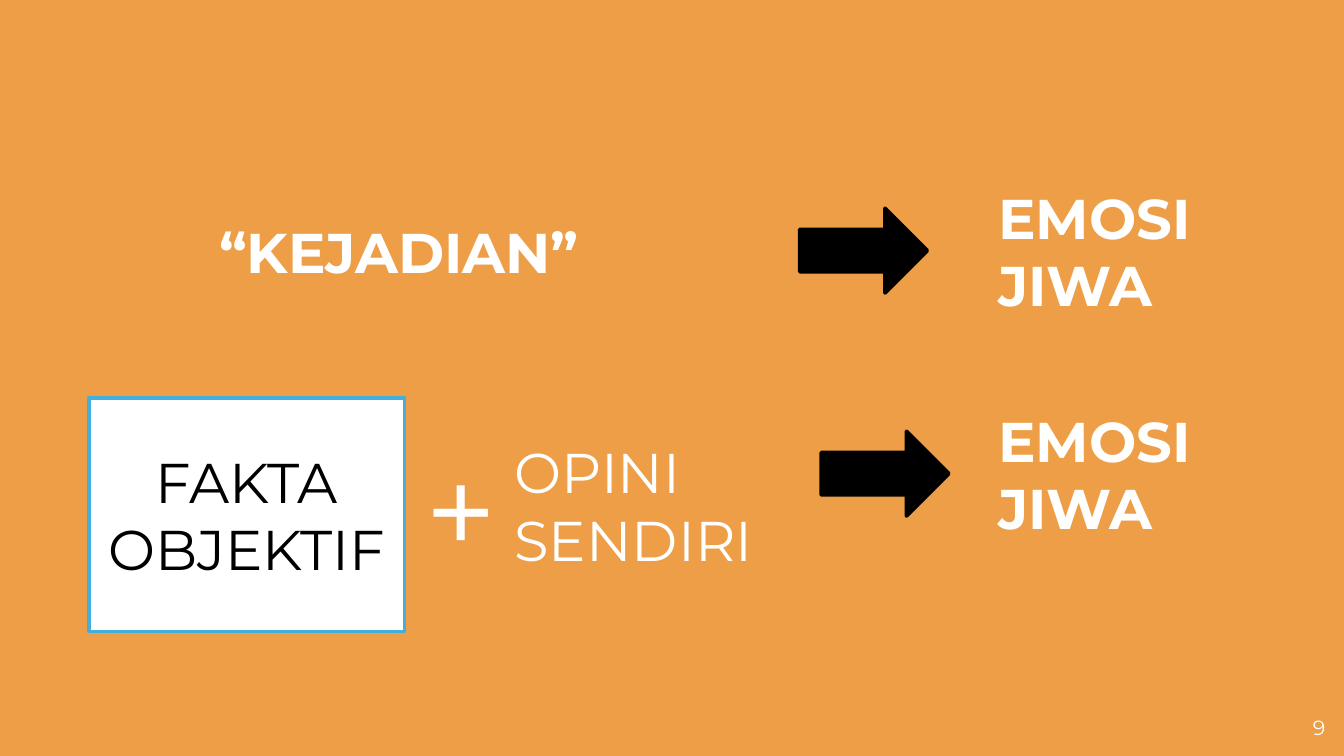
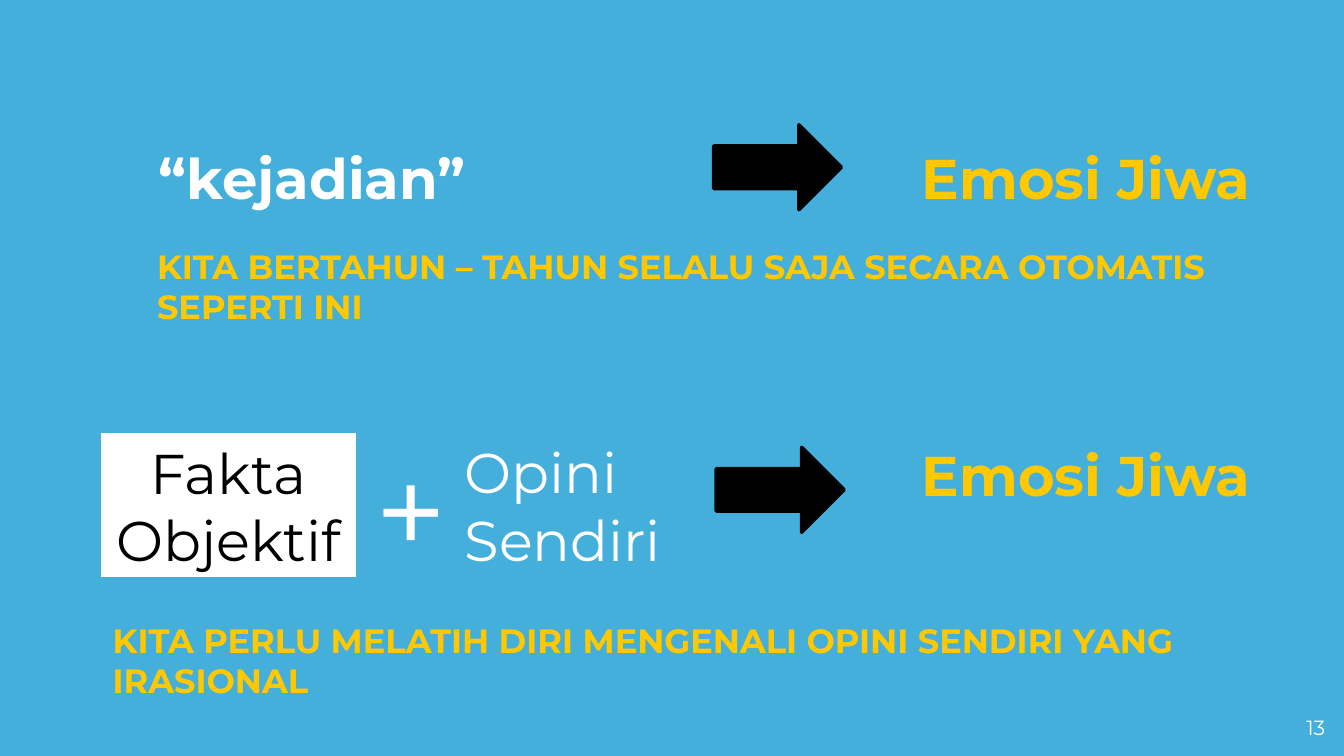
from dataclasses import dataclass

from lxml.etree import SubElement
from pptx import Presentation
from pptx.dml.color import RGBColor
from pptx.enum.shapes import MSO_SHAPE
from pptx.enum.text import MSO_ANCHOR, MSO_AUTO_SIZE, PP_ALIGN
from pptx.oxml.ns import qn
from pptx.util import Inches, Pt

SLIDE_WIDTH = 10
SLIDE_HEIGHT = SLIDE_WIDTH * 9 / 16
ORANGE, BLUE, YELLOW = "ED9E46", "45AFDC", "FFC800"
WHITE, BLACK = "FFFFFF", "000000"
FONT = "Montserrat"
LABEL_SIZE, LABEL_HEIGHT = 30, 0.63
OPINION_TOP, OPINION_HEIGHT = 3.21, 1.11
PLUS_OFFSET = 0.64  # from the plus sign to the opinion


@dataclass
class Box:
    left: float
    top: float
    width: float
    height: float = LABEL_HEIGHT

    def inches(self):
        return [Inches(v) for v in (self.left, self.top, self.width, self.height)]


def rgb(color):
    return RGBColor.from_string(color)


def write(shape, text, size=LABEL_SIZE, color=WHITE, bold=False, font=FONT,
          align=PP_ALIGN.LEFT, anchor=MSO_ANCHOR.MIDDLE, inset=0.1):
    frame = shape.text_frame
    frame.text = text
    frame.word_wrap = True
    frame.auto_size = MSO_AUTO_SIZE.NONE
    frame.vertical_anchor = anchor
    frame.margin_left = frame.margin_right = Inches(0.1)
    frame.margin_top = frame.margin_bottom = Inches(inset)
    paragraph = frame.paragraphs[0]
    paragraph.alignment = align
    style = paragraph.runs[0].font
    style.name, style.size, style.bold = font, Pt(size), bold
    style.color.rgb = rgb(color)


def add_text(slide, box, text, **style):
    write(slide.shapes.add_textbox(*box.inches()), text, **style)


def add_block(slide, preset, box, fill, line):
    block = slide.shapes.add_shape(preset, *box.inches())
    block.shadow.inherit = False
    block.fill.solid()
    block.fill.fore_color.rgb = rgb(fill)
    block.line.color.rgb = rgb(line)
    block.line.width = Pt(2)
    return block


def add_arrow(slide, left, top):
    arrow = add_block(slide, MSO_SHAPE.RIGHT_ARROW, Box(left, top, 0.95),
                      BLACK, BLACK)
    # Rounded corners on the outline
    SubElement(arrow.element.spPr.find(qn("a:ln")), qn("a:round"))


def add_note(slide, left, top, text):
    add_text(slide, Box(left, top, 8.49, 0.71), text, size=18, color=YELLOW,
             bold=True, anchor=MSO_ANCHOR.TOP, inset=0.05)


def start_slide(prs, background, number):
    slide = prs.slides.add_slide(prs.slide_layouts[5])
    slide.background.fill.solid()
    slide.background.fill.fore_color.rgb = rgb(background)
    add_text(slide, Box(9.36, 5.22, 0.6, 0.32), number, size=11,
             align=PP_ALIGN.RIGHT, anchor=MSO_ANCHOR.TOP)
    return slide


def event_row(slide, event_box, event, arrow_at, emotion_box, emotion, color):
    """Event, arrow, emotion; the event is the slide title."""
    title = slide.shapes.title
    title.left, title.top, title.width, title.height = event_box.inches()
    write(title, event, bold=True)
    add_arrow(slide, *arrow_at)
    add_text(slide, emotion_box, emotion, color=color, bold=True)


def thought_row(slide, fact_box, fact, opinion_left, opinion_width, opinion,
                arrow_at, emotion_box, emotion, color):
    """Objective fact plus own opinion, arrow, emotion."""
    fact_block = add_block(slide, MSO_SHAPE.RECTANGLE, fact_box, WHITE, BLUE)
    write(fact_block, fact, color=BLACK, align=PP_ALIGN.CENTER)
    top_text = dict(anchor=MSO_ANCHOR.TOP, inset=0.05)
    plus_box = Box(opinion_left - PLUS_OFFSET, OPINION_TOP, 0.23, OPINION_HEIGHT)
    add_text(slide, plus_box, "+", size=60, font="Arial", **top_text)
    opinion_box = Box(opinion_left, OPINION_TOP, opinion_width, OPINION_HEIGHT)
    add_text(slide, opinion_box, opinion, **top_text)
    add_arrow(slide, *arrow_at)
    add_text(slide, emotion_box, emotion, color=color, bold=True)


def formula_slide(prs):
    slide = start_slide(prs, ORANGE, "9")
    event_row(slide, Box(1.53, 1.55, 3.12), "“KEJADIAN”", (5.95, 1.55),
              Box(7.33, 1.55, 1.64), "EMOSI JIWA", WHITE)
    thought_row(slide, Box(0.66, 2.96, 2.35, 1.74), "FAKTA OBJEKTIF",
                3.73, 2.22, "OPINI SENDIRI", (6.11, 3.21),
                Box(7.33, 3.21, 1.76), "EMOSI JIWA", WHITE)


def practice_slide(prs):
    slide = start_slide(prs, BLUE, "13")
    event_row(slide, Box(1.08, 1, 2.54), "“kejadian”", (5.31, 0.93),
              Box(6.76, 1, 2.79), "Emosi Jiwa", YELLOW)
    add_note(slide, 1.07, 1.78,
             "KITA BERTAHUN – TAHUN SELALU SAJA SECARA OTOMATIS SEPERTI INI")
    thought_row(slide, Box(0.74, 3.21, 1.92, 1.1), "Fakta Objektif",
                3.36, 1.76, "Opini Sendiri", (5.33, 3.33),
                Box(6.76, 3.21, 2.79), "Emosi Jiwa", YELLOW)
    add_note(slide, 0.74, 4.56,
             "KITA PERLU MELATIH DIRI MENGENALI OPINI SENDIRI YANG IRASIONAL")


def main():
    prs = Presentation()
    prs.slide_width, prs.slide_height = Inches(SLIDE_WIDTH), Inches(SLIDE_HEIGHT)
    formula_slide(prs)
    practice_slide(prs)
    prs.save("out.pptx")


if __name__ == "__main__":
    main()
